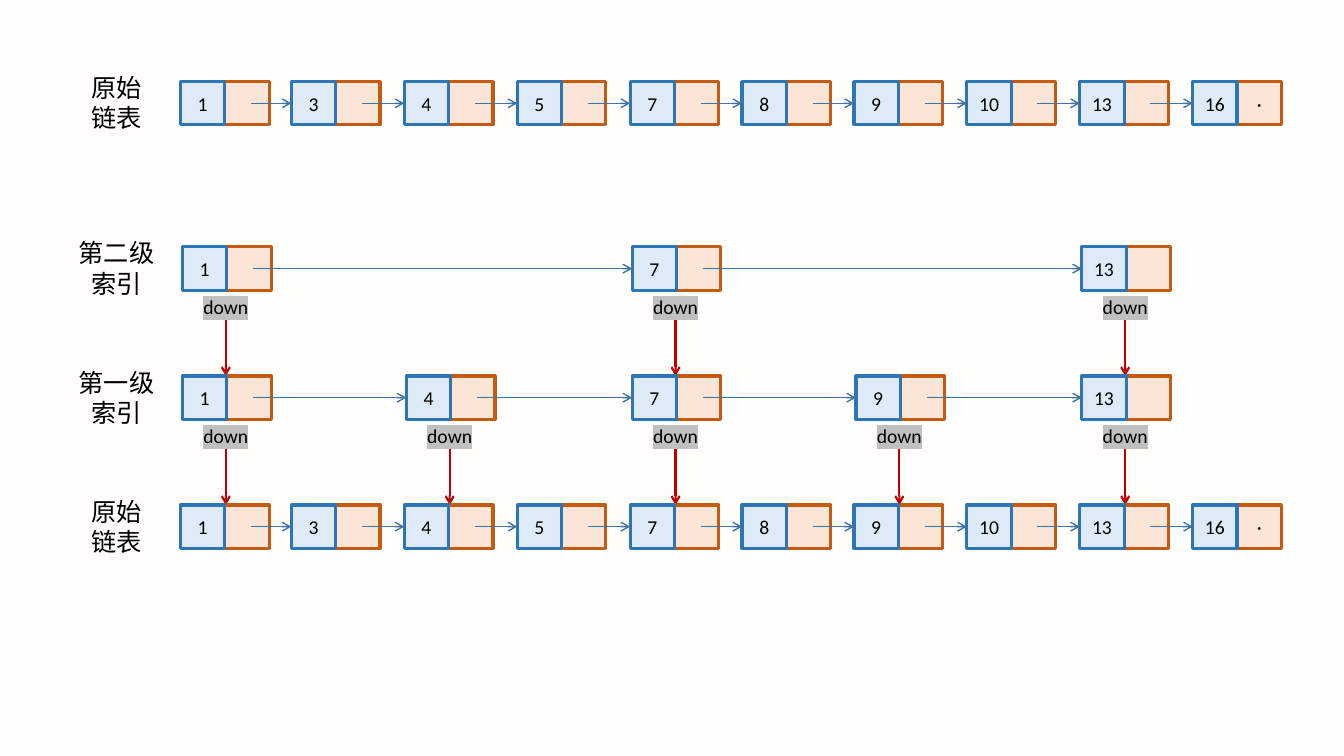
from dataclasses import dataclass

from lxml import etree
from pptx import Presentation
from pptx.dml.color import RGBColor
from pptx.enum.shapes import MSO_CONNECTOR, MSO_SHAPE
from pptx.enum.text import MSO_ANCHOR, MSO_AUTO_SIZE, PP_ALIGN
from pptx.oxml.ns import qn
from pptx.util import Pt

RECT = MSO_SHAPE.RECTANGLE
STRAIGHT = MSO_CONNECTOR.STRAIGHT
MIDDLE = MSO_ANCHOR.MIDDLE
CENTER = PP_ALIGN.CENTER
GROW = MSO_AUTO_SIZE.SHAPE_TO_FIT_TEXT
LEFT_SIDE = 1

PX = 9144  # EMU per px, 100 px to the inch
COLORS = {
    "background": "FFFEFD", "text": "000000", "highlight": "C0C0C0",
    "data_fill": "DEEBF7", "data_line": "2E75B6",
    "pointer_fill": "FBE5D6", "pointer_line": "C55A11",
    "next": "43739E", "down": "C00000",
}
LATIN_FONT, CJK_FONT = "Calibri", "Noto Sans CJK SC"
ZERO_INSETS = {"margin_left": 0, "margin_right": 0, "margin_top": 0, "margin_bottom": 0}

CELL_W, CELL_H = 44, 43
NEXT_START = 70      # from the left of a node to the tail of its arrow
LEVEL_GAP = 128      # between the tops of neighbouring levels
LABEL_LEFT, LABEL_W, LABEL_H, LABEL_RISE = 68, 95, 71, 14
DOWN_CENTER, DOWN_W, DOWN_H, DOWN_TAIL = 45, 68, 34, 66

# Left edge of each key's node in the full list
COLUMNS = {"1": 179, "3": 289, "4": 401, "5": 513, "7": 625,
           "8": 736, "9": 847, "10": 959, "13": 1071, "16": 1183}


@dataclass(frozen=True)
class Level:
    label: tuple[str, str]
    top: int
    keys: tuple[str, ...]
    shift: int = 0
    last_pointer: str = ""
    has_down: bool = False


BASE_LABEL = ("原始", "链表")
INDEX_TOP = 245
LEVELS = [
    Level(BASE_LABEL, 81, tuple(COLUMNS), last_pointer="·"),
    Level(("第二级", "索引"), INDEX_TOP, ("1", "7", "13"), shift=2, has_down=True),
    Level(("第一级", "索引"), INDEX_TOP + LEVEL_GAP, ("1", "4", "7", "9", "13"),
          shift=2, has_down=True),
    Level(BASE_LABEL, INDEX_TOP + 2 * LEVEL_GAP, tuple(COLUMNS), last_pointer="·"),
]


def rgb(name: str) -> RGBColor:
    return RGBColor.from_string(COLORS[name])


def write(paragraph, text: str, size: int, font: str):
    """Add one centred run and return it."""
    paragraph.alignment = CENTER
    run = paragraph.add_run()
    run.text = text
    for key, value in {"size": Pt(size), "name": font}.items():
        setattr(run.font, key, value)
    run.font.color.rgb = rgb("text")
    return run


def add_cell(slide, left: int, top: int, kind: str, text: str):
    cell = slide.shapes.add_shape(RECT, left * PX, top * PX, CELL_W * PX, CELL_H * PX)
    cell.shadow.inherit = False
    cell.fill.solid()
    cell.fill.fore_color.rgb = rgb(f"{kind}_fill")
    cell.line.color.rgb = rgb(f"{kind}_line")
    cell.line.width = Pt(2.25)
    for key, value in {**ZERO_INSETS, "vertical_anchor": MIDDLE}.items():
        setattr(cell.text_frame, key, value)
    if text:
        write(cell.text_frame.paragraphs[0], text, 14, LATIN_FONT)
    return cell


def add_arrow(slide, start: tuple[int, int], end: tuple[int, int], color: str, width: float):
    """Draw an arrow between two points given in EMU."""
    arrow = slide.shapes.add_connector(STRAIGHT, *start, *end)
    arrow.line.color.rgb = rgb(color)
    arrow.line.width = Pt(width)
    etree.SubElement(arrow.line._get_or_add_ln(), qn("a:tailEnd"), type="arrow")
    etree.SubElement(arrow._element.spPr, qn("a:effectLst"))
    return arrow


def add_text_box(slide, left: int, top: int, width: int, height: int):
    box = slide.shapes.add_textbox(left * PX, top * PX, width * PX, height * PX)
    for key, value in {"word_wrap": False, "auto_size": GROW}.items():
        setattr(box.text_frame, key, value)
    return box.text_frame


def add_level_label(slide, level: Level) -> None:
    frame = add_text_box(slide, LABEL_LEFT, level.top - LABEL_RISE, LABEL_W, LABEL_H)
    for index, line in enumerate(level.label):
        paragraph = frame.add_paragraph() if index else frame.paragraphs[0]
        run = write(paragraph, line, 18, CJK_FONT)
        etree.SubElement(run.font._element, qn("a:ea"), typeface=CJK_FONT)


def add_down(slide, center: int, top: int) -> None:
    """Draw the highlighted word and the arrow to the level below."""
    add_arrow(slide, (center * PX, (top + DOWN_TAIL) * PX),
              (center * PX, (top + LEVEL_GAP) * PX), "down", 1.5)
    frame = add_text_box(slide, center - DOWN_W // 2, top + CELL_H, DOWN_W, DOWN_H)
    run = write(frame.paragraphs[0], "down", 14, LATIN_FONT)
    highlight = etree.Element(qn("a:highlight"))
    etree.SubElement(highlight, qn("a:srgbClr"), val=COLORS["highlight"])
    run.font._element.find(qn("a:solidFill")).addnext(highlight)


def add_level(slide, level: Level) -> None:
    add_level_label(slide, level)

    # Nodes: pointer cell first, data cell over it
    data_cells = []
    for key in level.keys:
        left = COLUMNS[key] + level.shift
        pointer_text = level.last_pointer if key == level.keys[-1] else ""
        add_cell(slide, left + CELL_W, level.top, "pointer", pointer_text)
        data_cells.append(add_cell(slide, left, level.top, "data", key))

    # Arrows to the next node
    for data, following in zip(data_cells, data_cells[1:]):
        middle = data.top + data.height // 2
        arrow = add_arrow(slide, (data.left + NEXT_START * PX, middle),
                          (following.left, middle), "next", 1)
        arrow.end_connect(following, LEFT_SIDE)

    # Links to the level below
    if level.has_down:
        for key in level.keys:
            add_down(slide, COLUMNS[key] + DOWN_CENTER, level.top)


def main() -> None:
    deck = Presentation()
    deck.slide_width, deck.slide_height = 1333 * PX, 750 * PX
    slide = deck.slides.add_slide(deck.slide_layouts[6])
    slide.background.fill.solid()
    slide.background.fill.fore_color.rgb = rgb("background")
    for level in LEVELS:
        add_level(slide, level)
    deck.save("out.pptx")


if __name__ == "__main__":
    main()
